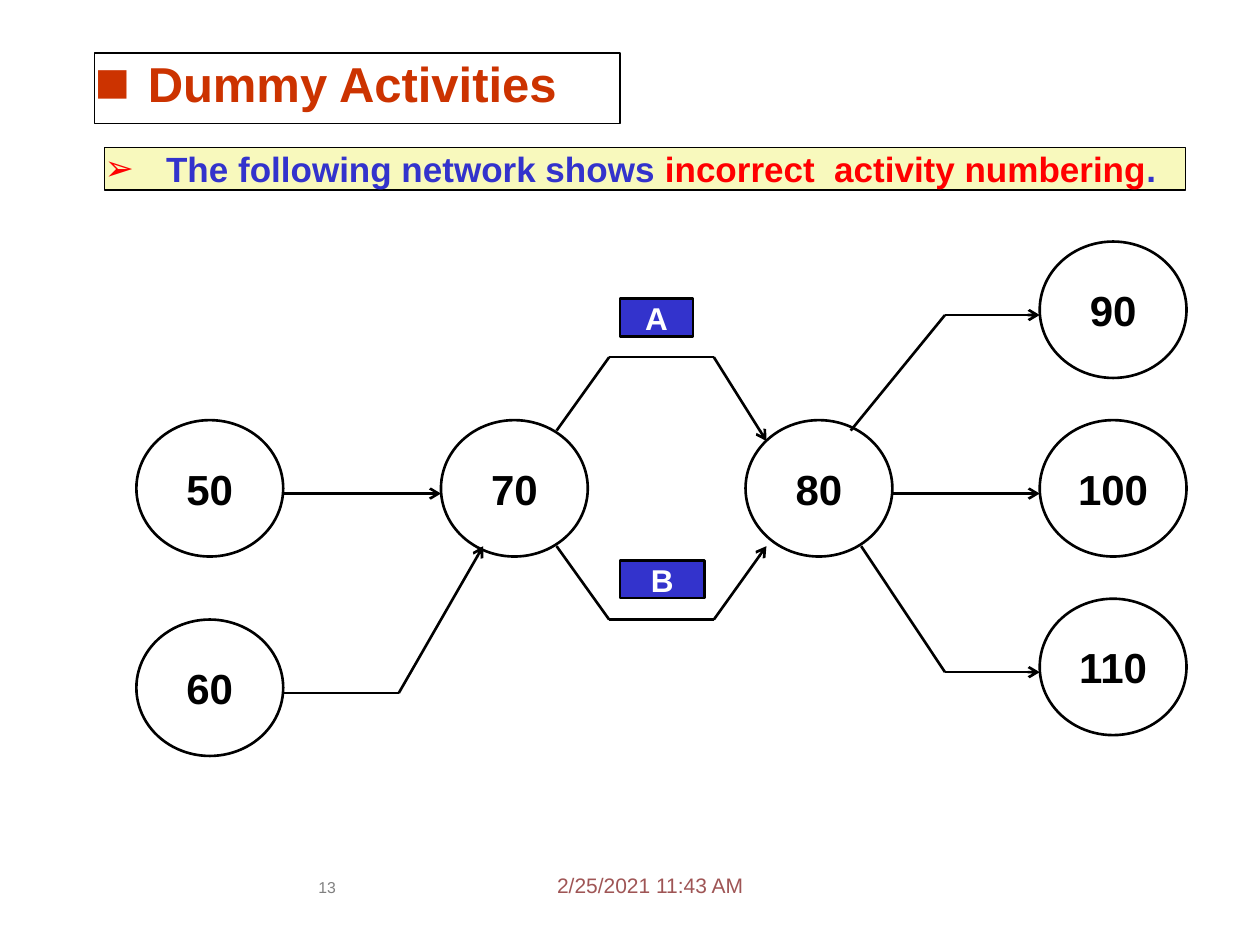
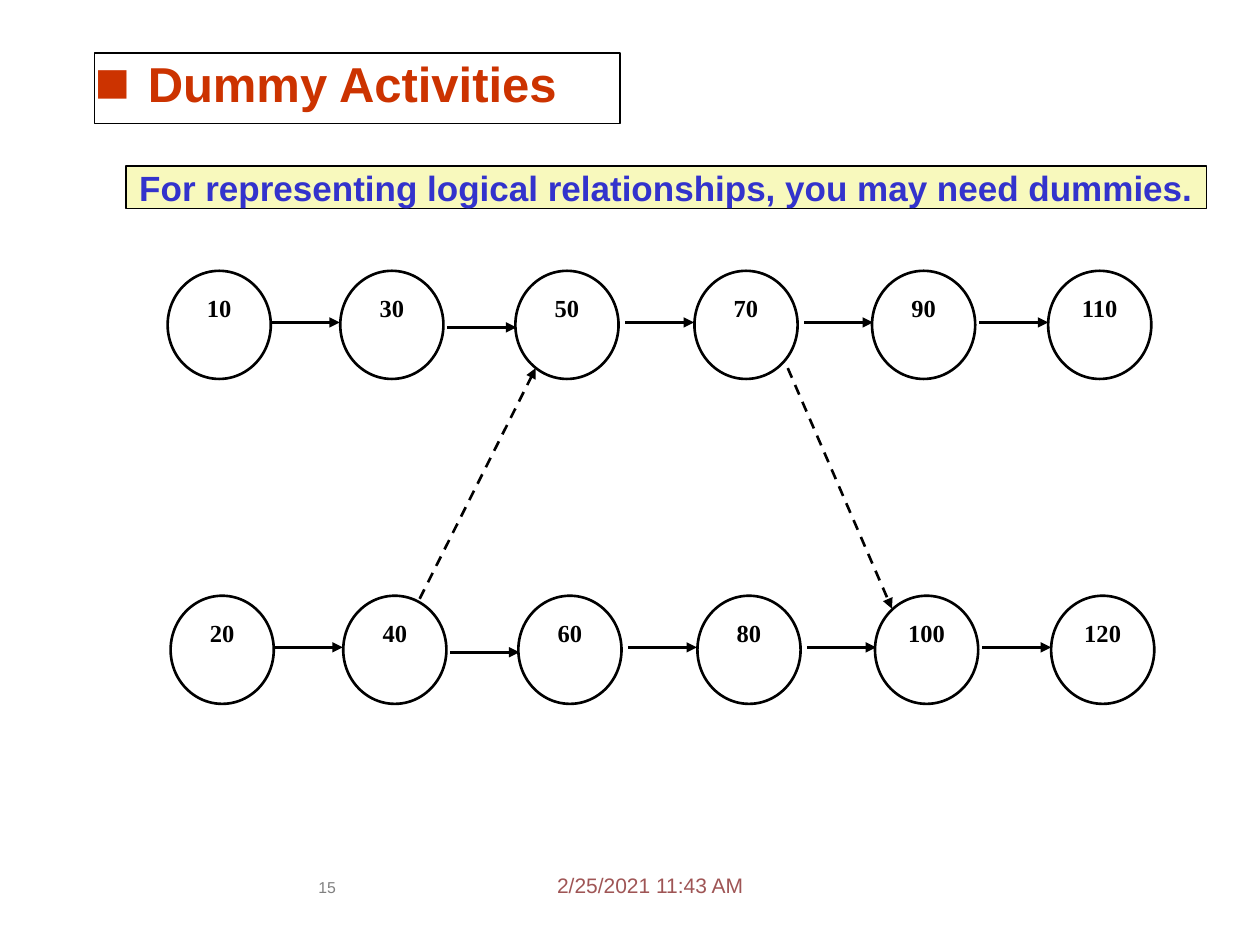
from lxml import etree
from pptx import Presentation
from pptx.dml.color import RGBColor
from pptx.enum import dml, shapes, text
from pptx.oxml import ns
from pptx.util import Cm, Pt

BLACK, WHITE, BLUE, RED = "000000", "FFFFFF", "3333CC", "FF0000"
RUST, CREAM, DATE_COLOR, NUMBER_COLOR = "CC3300", "F8F9BD", "9F5555", "808080"
CENTER, LEFT, JUSTIFY = text.PP_ALIGN.CENTER, text.PP_ALIGN.LEFT, text.PP_ALIGN.JUSTIFY
RECT, OVAL = shapes.MSO_SHAPE.RECTANGLE, shapes.MSO_SHAPE.OVAL

# All lengths below are centimetres.
TITLE = "Dummy Activities"
DATE = "2/25/2021 11:43 AM"
BAND_SIZE = (21.79, 0.86)

NUMBERING = {
    "number": "13",
    "band_at": (2.11, 2.97),
    "band": [
        ("The following network shows ", BLUE),
        ("incorrect  activity numbering", RED),
        (".", BLUE),
    ],
    "node_size": (2.96, 2.75),
    "nodes": {
        "50": (2.75, 8.47), "60": (2.75, 12.49),
        "70": (8.89, 8.47), "80": (15.03, 8.47),
        "90": (20.96, 4.87), "100": (20.96, 8.47), "110": (20.96, 12.07),
    },
    "activities": [
        [(5.72, 9.95), (8.89, 9.95)],
        [(5.72, 13.97), (8.04, 13.97), (9.74, 11.01)],
        [(11.22, 8.68), (12.28, 7.2), (14.39, 7.2), (15.45, 8.89)],
        [(11.22, 11.01), (12.28, 12.49), (14.39, 12.49), (15.45, 11.01)],
        [(17.15, 8.68), (19.05, 6.35), (20.96, 6.35)],
        [(17.99, 9.95), (20.96, 9.95)],
        [(17.36, 11.01), (19.05, 13.55), (20.96, 13.55)],
    ],
    "labels": {"A": (12.5, 6.02, 1.47, 0.76), "B": (12.5, 11.3, 1.7, 0.76)},
}

LOGIC = {
    "number": "15",
    "band_at": (2.54, 3.35),
    "band": [("For representing logical relationships, you may need dummies.", BLUE)],
    "node_size": (2.08, 2.18),
    "rows": [["10", "30", "50", "70", "90", "110"], ["20", "40", "60", "80", "100", "120"]],
    "node_lefts": [3.38, 6.86, 10.39, 14.0, 17.58, 21.13],
    "node_top": 5.46,
    "arrow_starts": [(5.46, 6.5), (9.02, 6.6), (12.6, 6.5), (16.21, 6.5), (19.74, 6.5)],
    "arrow_length": 1.39,
    "row_shift": (0.06, 6.55),
    "dummies": [[(8.46, 12.07), (10.8, 7.42)], [(15.88, 7.42), (17.98, 12.27)]],
}


def color(value):
    return RGBColor.from_string(value)


def add_xml(parent, tag, **attributes):
    return etree.SubElement(parent, ns.qn(tag), attributes)


def add_bullet(para, char, bullet_color, indent, percent=100):
    props = para._p.get_or_add_pPr()
    props.set("marL", str(Cm(indent)))
    props.set("indent", str(-Cm(indent)))
    add_xml(add_xml(props, "a:buClr"), "a:srgbClr", val=bullet_color)
    add_xml(props, "a:buSzPct", val=str(percent * 1000))
    add_xml(props, "a:buFont", typeface="Arial")
    add_xml(props, "a:buChar", char=char)


def write(box, content, size, ink=BLACK, bold=True, font="Arial", align=CENTER,
          middle=False, inset=0, wrap=True, bullet=None):
    """Fill a box with one paragraph; content is a string or (string, colour) spans."""
    frame = box.text_frame
    frame.word_wrap = wrap
    frame.vertical_anchor = text.MSO_ANCHOR.MIDDLE if middle else text.MSO_ANCHOR.TOP
    frame.margin_left = frame.margin_right = Cm(inset)
    frame.margin_top = frame.margin_bottom = Cm(inset / 2)
    para = frame.paragraphs[0]
    para.alignment = align
    if bullet:
        add_bullet(para, **bullet)
    for words, span_color in [(content, ink)] if isinstance(content, str) else content:
        span = para.add_run()
        span.text = words
        span.font.name, span.font.size, span.font.bold = font, Pt(size), bold
        span.font.color.rgb = color(span_color)


def add_box(page, kind, at, content, fill=WHITE, line=0.75, **style):
    box = page.shapes.add_shape(kind, *map(Cm, at))
    box.shadow.inherit = False
    box.fill.solid()
    box.fill.fore_color.rgb = color(fill)
    box.line.color.rgb = color(BLACK)
    box.line.width = Pt(line)
    write(box, content, **style)


def add_text(page, at, content, **style):
    write(page.shapes.add_textbox(*map(Cm, at)), content, bold=False, **style)


def add_path(page, points, arrow, dashed=False):
    """Join the points with straight lines and put an arrowhead on the last one."""
    for start, end in zip(points, points[1:]):
        line = page.shapes.add_connector(shapes.MSO_CONNECTOR.STRAIGHT, *map(Cm, start + end))
        line.line.color.rgb = color(BLACK)
        line.line.width = Pt(1.5)
        if dashed:
            line.line.dash_style = dml.MSO_LINE.DASH
        if end == points[-1]:
            add_xml(line.line._get_or_add_ln(), "a:tailEnd", type=arrow)
        add_xml(line._element.spPr, "a:effectLst")


def add_page(deck, topic, **band_style):
    """Start a slide with the shared title, band, date and number."""
    page = deck.slides.add_slide(deck.slide_layouts[6])
    add_text(page, (11.23, 17.58, 4.24, 0.64), DATE, size=12, ink=DATE_COLOR, align=LEFT)
    add_text(page, (6.1, 17.7, 0.99, 0.86), topic["number"], size=9, ink=NUMBER_COLOR)
    add_box(page, RECT, (1.91, 1.07, 10.59, 1.42), TITLE, size=28, ink=RUST, align=LEFT,
            bullet=dict(char="■", bullet_color=RUST, indent=1.07, percent=120))
    add_box(page, RECT, topic["band_at"] + BAND_SIZE, topic["band"], fill=CREAM, size=20,
            **band_style)
    return page


def build_numbering(deck):
    page = add_page(deck, NUMBERING, align=JUSTIFY,
                    bullet=dict(char="➢", bullet_color=RED, indent=1.24))
    for name, place in NUMBERING["nodes"].items():
        add_box(page, OVAL, place + NUMBERING["node_size"], name, line=1.5, size=24,
                middle=True, wrap=False)
    for points in NUMBERING["activities"]:
        add_path(page, points, "arrow")
    for name, at in NUMBERING["labels"].items():
        add_box(page, RECT, at, name, fill=BLUE, line=1.5, size=18, ink=WHITE)


def build_logic(deck):
    page = add_page(deck, LOGIC)
    for row, names in enumerate(LOGIC["rows"]):
        across, down = (row * shift for shift in LOGIC["row_shift"])
        for name, left in zip(names, LOGIC["node_lefts"]):
            place = (left + across, LOGIC["node_top"] + down)
            add_box(page, OVAL, place + LOGIC["node_size"], name, line=1.5, size=14,
                    font="Times New Roman", inset=0.25)
        for x, y in LOGIC["arrow_starts"]:
            start = (x + across, y + down)
            add_path(page, [start, (start[0] + LOGIC["arrow_length"], start[1])], "triangle")
    for points in LOGIC["dummies"]:
        add_path(page, points, "triangle", dashed=True)


def main():
    deck = Presentation()
    deck.slide_width, deck.slide_height = Cm(25.4), Cm(19.05)
    build_numbering(deck)
    build_logic(deck)
    deck.save("out.pptx")


if __name__ == "__main__":
    main()
